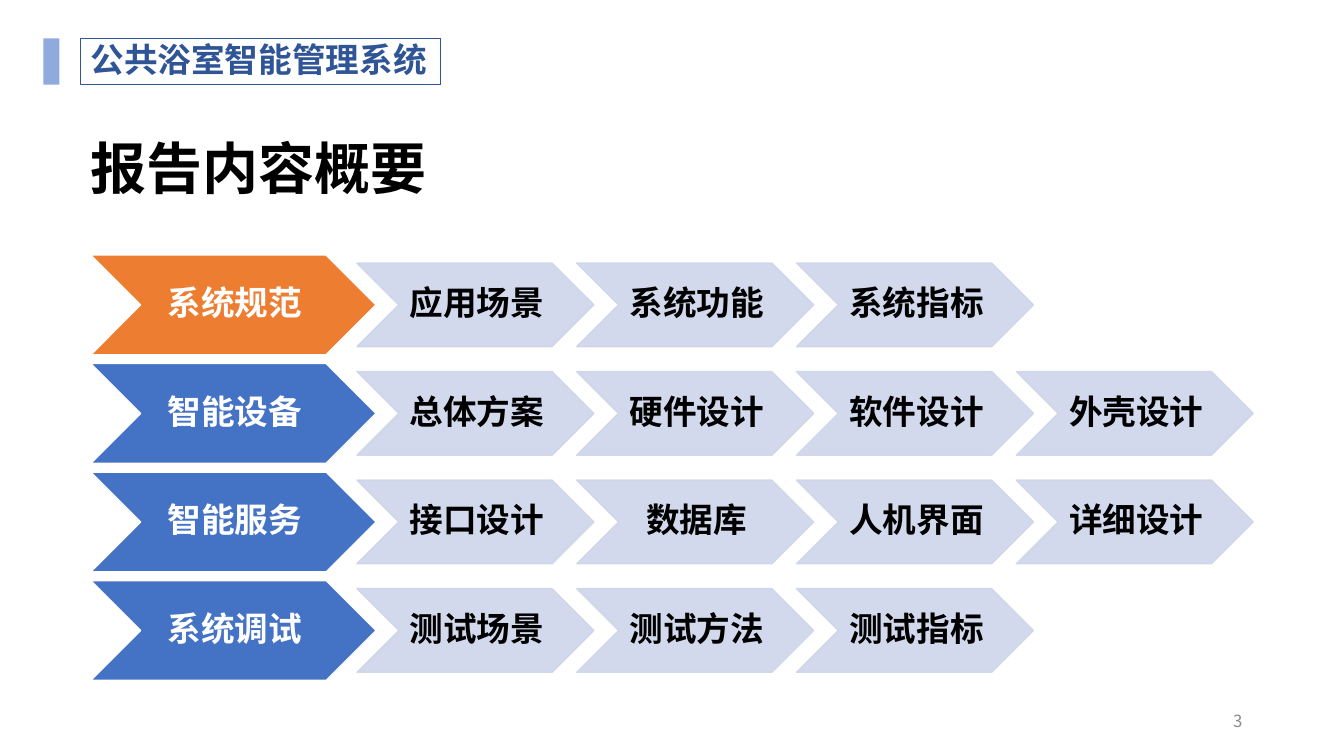
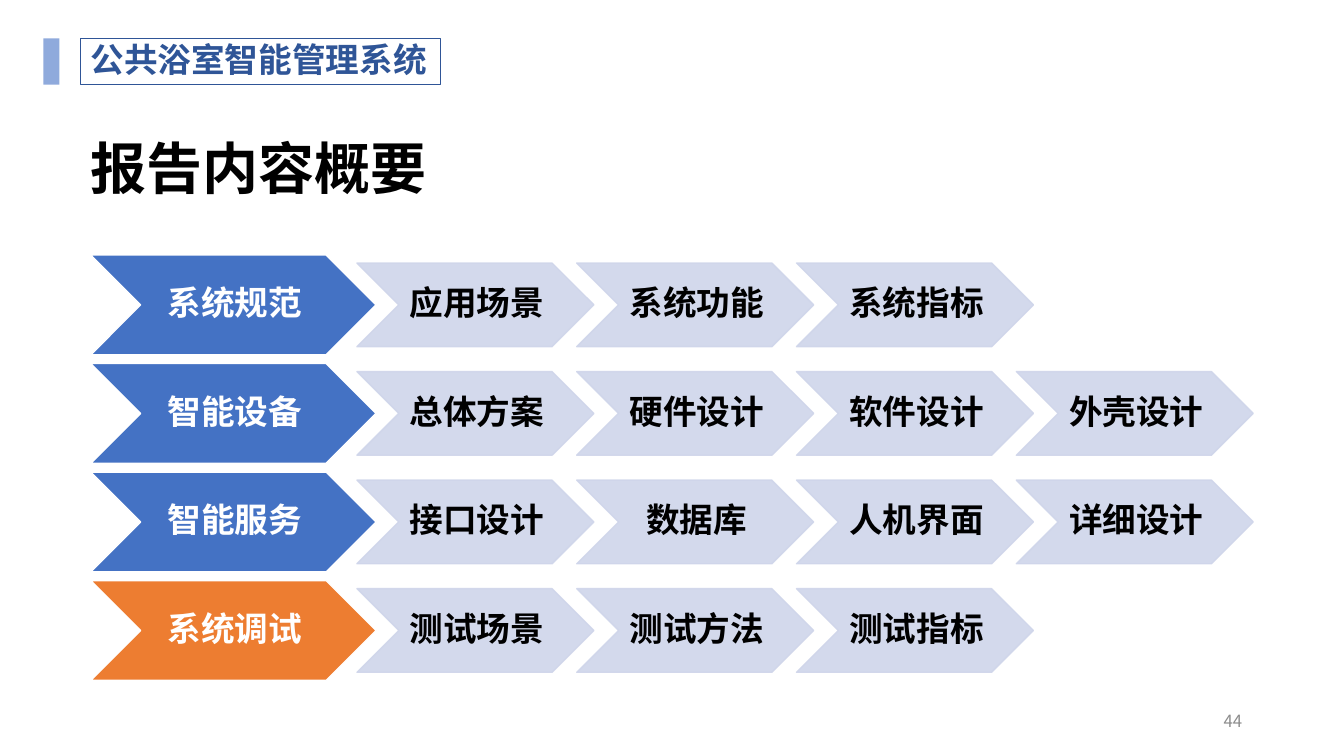
"""Build the two agenda slides of the bathhouse management report."""
from lxml.etree import SubElement
from pptx import Presentation
from pptx.dml.color import RGBColor
from pptx.enum.shapes import MSO_SHAPE as Shape
from pptx.enum.text import MSO_ANCHOR as Anchor, MSO_AUTO_SIZE as AutoSize, PP_ALIGN as Align
from pptx.oxml.ns import qn
from pptx.util import Inches, Pt

ORANGE = RGBColor(0xED, 0x7D, 0x31)
BLUE = RGBColor(0x44, 0x72, 0xC4)
PALE_BLUE = RGBColor(0xCF, 0xD5, 0xEA)
LIGHT_BLUE = RGBColor(0x8F, 0xAA, 0xDC)
DARK_BLUE = RGBColor(0x2F, 0x55, 0x97)
GRAY = RGBColor(0x8C, 0x8C, 0x8C)
BLACK = RGBColor(0x00, 0x00, 0x00)
WHITE = RGBColor(0xFF, 0xFF, 0xFF)

CJK_FONT = "Noto Sans CJK SC"
TITLE_FONT = "Arial"

AGENDA = [
    ("系统规范", ["应用场景", "系统功能", "系统指标"]),
    ("智能设备", ["总体方案", "硬件设计", "软件设计", "外壳设计"]),
    ("智能服务", ["接口设计", "数据库", "人机界面", "详细设计"]),
    ("系统调试", ["测试场景", "测试方法", "测试指标"]),
]
FIRST_ROW_TOP, LAST_ROW_TOP = 2.53, 5.76
ROW_PITCH = (LAST_ROW_TOP - FIRST_ROW_TOP) / (len(AGENDA) - 1)
HEAD_LEFT, HEAD_WIDTH, HEAD_HEIGHT = 0.9, 2.83, 0.99
ITEM_LEFT, ITEM_WIDTH, ITEM_HEIGHT = 3.54, 2.35, 0.83
ITEM_PITCH = 2.18
ITEM_DROP = (HEAD_HEIGHT - ITEM_HEIGHT) / 2


class Deck:
    """Hold the shared style and the current slide."""

    def __init__(self):
        """Open a widescreen presentation."""
        self.presentation = Presentation()
        self.presentation.slide_width = Inches(13.33)
        self.presentation.slide_height = Inches(7.5)
        self.slide = None

    def start_slide(self, title, page):
        """Add a slide with its title, header and page number."""
        layout = self.presentation.slide_layouts[6]
        self.slide = self.presentation.slides.add_slide(layout)
        self.text_box(0.8, 1.35, 11.74, 0.61, title, 40, BLACK, bold=True, font=TITLE_FONT)
        self.text_box(9.42, 6.95, 3, 0.4, page, 12, GRAY, align=Align.RIGHT)
        self.header("公共浴室智能管理系统")

    def add_text(self, shape, text, size, color, bold=True, align=Align.LEFT, font=CJK_FONT):
        """Add one styled run to a shape."""
        paragraph = shape.text_frame.paragraphs[0]
        paragraph.alignment = align
        run = paragraph.add_run()
        run.text = text
        run.font.size = Pt(size)
        run.font.bold = bold
        run.font.color.rgb = color
        run.font.name = font
        SubElement(run._r.get_or_add_rPr(), qn("a:ea"), typeface=CJK_FONT)
        return paragraph

    def text_box(self, left, top, width, height, text, size, color, bold=False,
                 align=Align.LEFT, font=CJK_FONT):
        """Add a vertically centred text box."""
        box = self.slide.shapes.add_textbox(
            Inches(left), Inches(top), Inches(width), Inches(height))
        box.text_frame.word_wrap = True
        box.text_frame.vertical_anchor = Anchor.MIDDLE
        self.add_text(box, text, size, color, bold, align, font)

    def shape(self, kind, left, top, width, height, fill=None, line=None, weight=1.0):
        """Add a preset shape without a shadow."""
        shape = self.slide.shapes.add_shape(
            kind, Inches(left), Inches(top), Inches(width), Inches(height))
        shape.shadow.inherit = False
        if fill is None:
            shape.fill.background()
        else:
            shape.fill.solid()
            shape.fill.fore_color.rgb = fill
        if line is None:
            shape.line.fill.background()
        else:
            shape.line.color.rgb = line
            shape.line.width = Pt(weight)
        return shape

    def header(self, text):
        """Add the framed system name and its accent bar."""
        frame = self.shape(Shape.RECTANGLE, 0.8, 0.38, 3.57, 0.46, line=DARK_BLUE, weight=0.75)
        frame.text_frame.word_wrap = False
        frame.text_frame.auto_size = AutoSize.SHAPE_TO_FIT_TEXT
        frame.text_frame.vertical_anchor = Anchor.TOP
        self.add_text(frame, text, 24, DARK_BLUE).line_spacing = 0.9
        self.shape(Shape.RECTANGLE, 0.43, 0.38, 0.16, 0.46, fill=LIGHT_BLUE)

    def chevron(self, left, top, width, height, text, fill, line, color, opacity=100):
        """Add a chevron with a centred label."""
        chevron = self.shape(Shape.CHEVRON, left, top, width, height, fill, line)
        if opacity < 100:
            for paint in chevron._element.spPr.iter(qn("a:srgbClr")):
                SubElement(paint, qn("a:alpha"), val=str(opacity * 1000))
        frame = chevron.text_frame
        frame.word_wrap = True
        frame.vertical_anchor = Anchor.MIDDLE
        frame.margin_left, frame.margin_right = Inches(0.03), 0
        frame.margin_top = frame.margin_bottom = Inches(0.02)
        self.add_text(chevron, text, 24, color, align=Align.CENTER).line_spacing = 0.9

    def agenda(self, current):
        """Add the chevron rows and highlight the current section."""
        for row, (section, items) in enumerate(AGENDA):
            top = FIRST_ROW_TOP + row * ROW_PITCH
            fill = ORANGE if section == current else BLUE
            self.chevron(HEAD_LEFT, top, HEAD_WIDTH, HEAD_HEIGHT, section, fill, WHITE, WHITE)
            for column, item in enumerate(items):
                self.chevron(ITEM_LEFT + column * ITEM_PITCH, top + ITEM_DROP, ITEM_WIDTH,
                             ITEM_HEIGHT, item, PALE_BLUE, PALE_BLUE, BLACK, opacity=90)


def main():
    """Build and save the slides."""
    deck = Deck()
    for page, section in (("3", "系统规范"), ("44", "系统调试")):
        deck.start_slide("报告内容概要", page)
        deck.agenda(section)
    deck.presentation.save("out.pptx")


if __name__ == "__main__":
    main()
